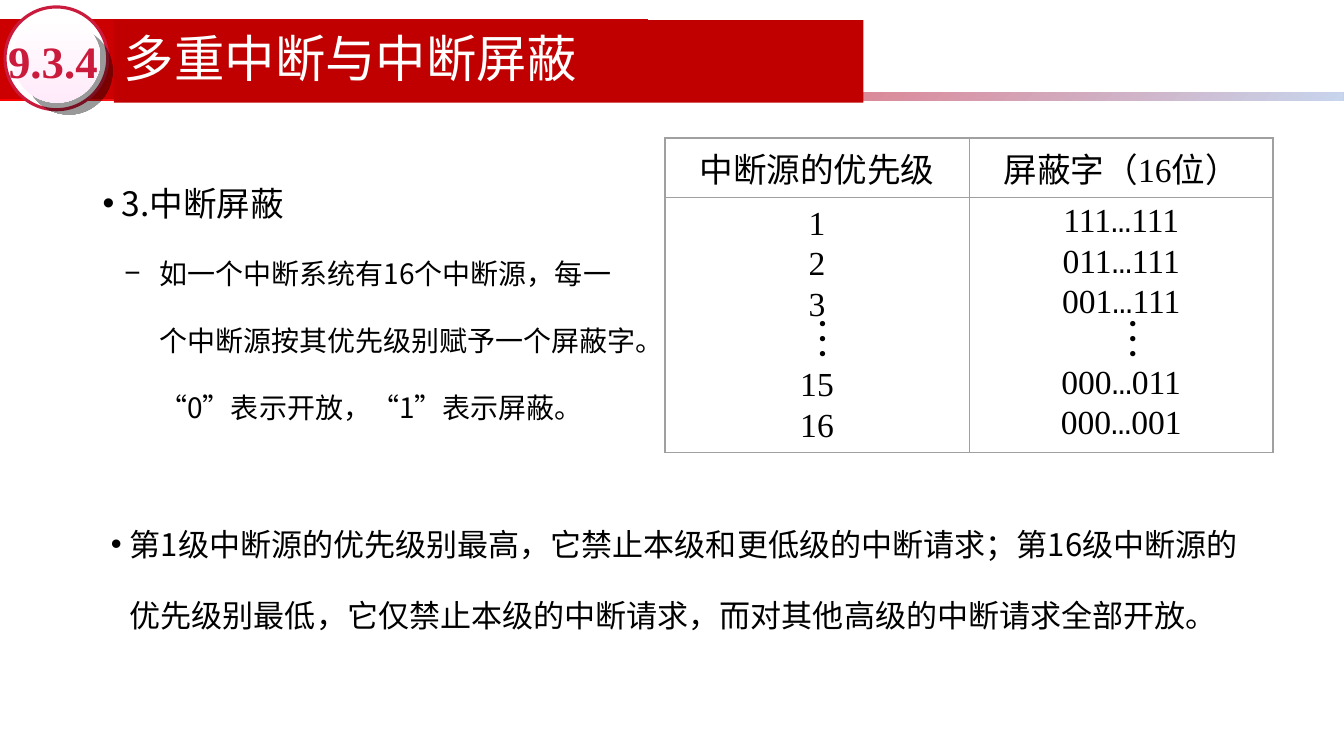
from dataclasses import dataclass

from lxml import etree
from pptx import Presentation
from pptx.dml.color import RGBColor
from pptx.enum import shapes, text
from pptx.oxml import ns
from pptx.util import Pt

SANS, SERIF, MONO = "Noto Sans CJK SC", "Times New Roman", "Courier New"
BLACK, GRAY = "000000", "A0A0A0"
LEFT, MID = text.PP_ALIGN.LEFT, text.PP_ALIGN.CENTER


@dataclass
class Box:
    x: float
    y: float
    w: float
    h: float


@dataclass
class Item:
    words: str
    size: float
    mark: str
    indent: float
    hang: float
    gap: float
    level: int = 0


def rgb(code: str) -> RGBColor:
    return RGBColor.from_string(code)


def sub(parent, tag: str, **attrs: str):
    return etree.SubElement(parent, ns.qn(tag), attrs)


def place(shape, box: Box) -> None:
    shape.left, shape.top = Pt(box.x), Pt(box.y)
    shape.width, shape.height = Pt(box.w), Pt(box.h)


def style(para, face: str, size: float, color: str = BLACK,
          bold: bool = False, align=LEFT) -> None:
    para.alignment = align
    font = para.font
    font.name, font.size, font.bold = face, Pt(size), bold
    font.color.rgb = rgb(color)
    props = para._p.pPr.find(ns.qn("a:defRPr"))
    sub(props, "a:ea", typeface=SANS)


def draw(kind, box: Box, fills: list[str], angle: float = 0):
    shape = slide.shapes.add_shape(
        kind, Pt(box.x), Pt(box.y), Pt(box.w), Pt(box.h))
    shape.shadow.inherit = False
    shape.line.fill.background()
    if len(fills) == 1:
        shape.fill.solid()
        shape.fill.fore_color.rgb = rgb(fills[0])
    else:
        shape.fill.gradient()
        shape.fill.gradient_angle = angle
        for stop, code in zip(shape.fill.gradient_stops, fills):
            stop.color.rgb = rgb(code)
    return shape


def label(box: Box, words: str, face: str, size: float, **look):
    shape = slide.shapes.add_textbox(
        Pt(box.x), Pt(box.y), Pt(box.w), Pt(box.h))
    frame = shape.text_frame
    frame.text = words
    style(frame.paragraphs[0], face, size, **look)
    return shape


def fill_list(holder, box: Box, items: list[Item]) -> None:
    place(holder, box)
    frame = holder.text_frame
    frame.auto_size = text.MSO_AUTO_SIZE.NONE
    for n, item in enumerate(items):
        para = frame.add_paragraph() if n else frame.paragraphs[0]
        para.text, para.level = item.words, item.level
        para.line_spacing, para.space_before = item.gap, Pt(0)
        props = para._p.get_or_add_pPr()
        props.set("marL", str(Pt(item.indent)))
        props.set("indent", str(Pt(-item.hang)))
        sub(sub(props, "a:buClr"), "a:srgbClr", val=BLACK)
        sub(props, "a:buChar", char=item.mark)
        style(para, SANS, item.size)


def border(cell, row: int, col: int) -> None:
    props = cell._tc.get_or_add_tcPr()
    outer = {"L": col == 0, "R": col == 1, "T": row == 0, "B": row == 1}
    for side, edge in outer.items():
        line = sub(props, f"a:ln{side}", w=str(Pt(1.5 if edge else 0.5)))
        sub(sub(line, "a:solidFill"), "a:srgbClr", val=GRAY)


def fill_cell(cell, lines: list[str]) -> None:
    frame = cell.text_frame
    for n, words in enumerate(lines):
        para = frame.add_paragraph() if n else frame.paragraphs[0]
        # Room for the vertical dots above the fourth line
        if n == 3:
            para.space_before = Pt(28.8)
        if len(lines) > 1:
            para.line_spacing = Pt(28.8)
        head, dots, tail = words.partition("…")
        for part in filter(None, (head, dots, tail)):
            run = para.add_run()
            run.text = part
            if part == "…":
                run.font.name = MONO
        style(para, SERIF, 24, align=MID)


deck = Presentation()
deck.slide_width, deck.slide_height = Pt(960.5), Pt(540)
slide = deck.slides.add_slide(deck.slide_layouts[3])
title, left, lower = slide.placeholders

# Header band and badge
RECT, OVAL = shapes.MSO_SHAPE.RECTANGLE, shapes.MSO_SHAPE.OVAL
draw(RECT, Box(0, 66.2, 960, 5.8), ["FF0000", "C7D5ED"], 315)
draw(RECT, Box(0, 13.7, 463, 56.9), ["CC0000"])
ring = draw(OVAL, Box(3.6, 5, 73.4, 73.4), ["FFFFFF"])
ring.line.color.rgb, ring.line.width = rgb("CB1B3D"), Pt(2.25)
disc = draw(OVAL, Box(9.4, 10.8, 62.6, 62.6), ["FFFFFF", "FFEBFA"], 270)
effects = disc._element.spPr.find(ns.qn("a:effectLst"))
shade = sub(effects, "a:outerShdw", blurRad="0", dist=str(Pt(12.1)),
            dir="2700000", algn="ctr", rotWithShape="0")
sub(sub(shade, "a:srgbClr", val=BLACK), "a:alpha", val="40000")

# Title, stacked above the band
slide.shapes.element.append(title.element)
place(title, Box(81.4, 14.4, 535.7, 59))
title.fill.solid()
title.fill.fore_color.rgb = rgb("C00000")
title.text = "多重中断与中断屏蔽"
title.text_frame.vertical_anchor = text.MSO_ANCHOR.MIDDLE
title.text_frame.paragraphs[0].line_spacing = 0.9
style(title.text_frame.paragraphs[0], SANS, 36, "FFFFFF")

number = label(Box(5.8, 23.8, 67, 38.9), "9.3.4", SERIF, 32,
               color="CB1B3D", bold=True)
frame = number.text_frame
frame.vertical_anchor = text.MSO_ANCHOR.MIDDLE
frame.margin_left = frame.margin_right = Pt(0)
frame.margin_top = frame.margin_bottom = Pt(0)

# Lists
fill_list(left, Box(66.2, 97.9, 396.7, 391.7), [
    Item("3.中断屏蔽", 24, "•", 13.5, 13.5, 2),
    Item("如一个中断系统有16个中断源，每一个中断源按其优先级别赋予一个屏蔽字。"
         "“0”表示开放，“1”表示屏蔽。", 20, "−", 40.5, 25, 2, 1),
])
fill_list(lower, Box(72, 347.8, 829.4, 134.6), [
    Item("第1级中断源的优先级别最高，它禁止本级和更低级的中断请求；"
         "第16级中断源的优先级别最低，它仅禁止本级的中断请求，"
         "而对其他高级的中断请求全部开放。", 22.2, "•", 13.5, 13.5, 1.9),
])

# Priority table
COLUMNS = [
    ("中断源的优先级", ["1", "2", "3", "15", "16"]),
    ("屏蔽字（16位）", ["111…111", "011…111", "001…111",
                  "000…011", "000…001"]),
]
grid = slide.shapes.add_table(
    2, 2, Pt(475.2), Pt(98.6), Pt(434.8), Pt(224.7)).table
grid.first_row = grid.horz_banding = False
grid.rows[0].height, grid.rows[1].height = Pt(42.5), Pt(182.2)
for col, (head, codes) in enumerate(COLUMNS):
    for row, lines in enumerate(([head], codes)):
        cell = grid.cell(row, col)
        border(cell, row, col)
        cell.fill.background()
        fill_cell(cell, lines)

# Vertical dots
for mid in (576.7, 798.5):
    dots = label(Box(mid - 28.4, 219, 56.9, 46), "…", SERIF, 32, align=MID)
    dots.rotation = 270

deck.save("out.pptx")
